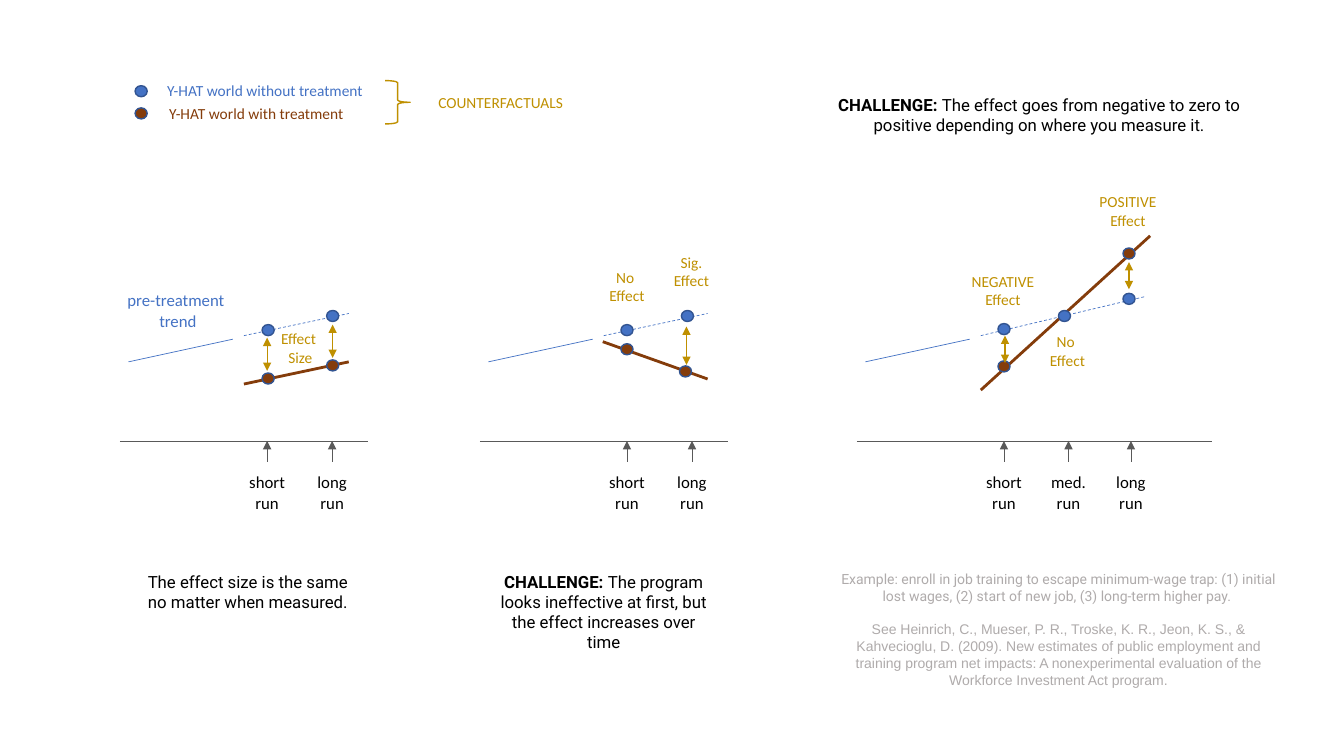
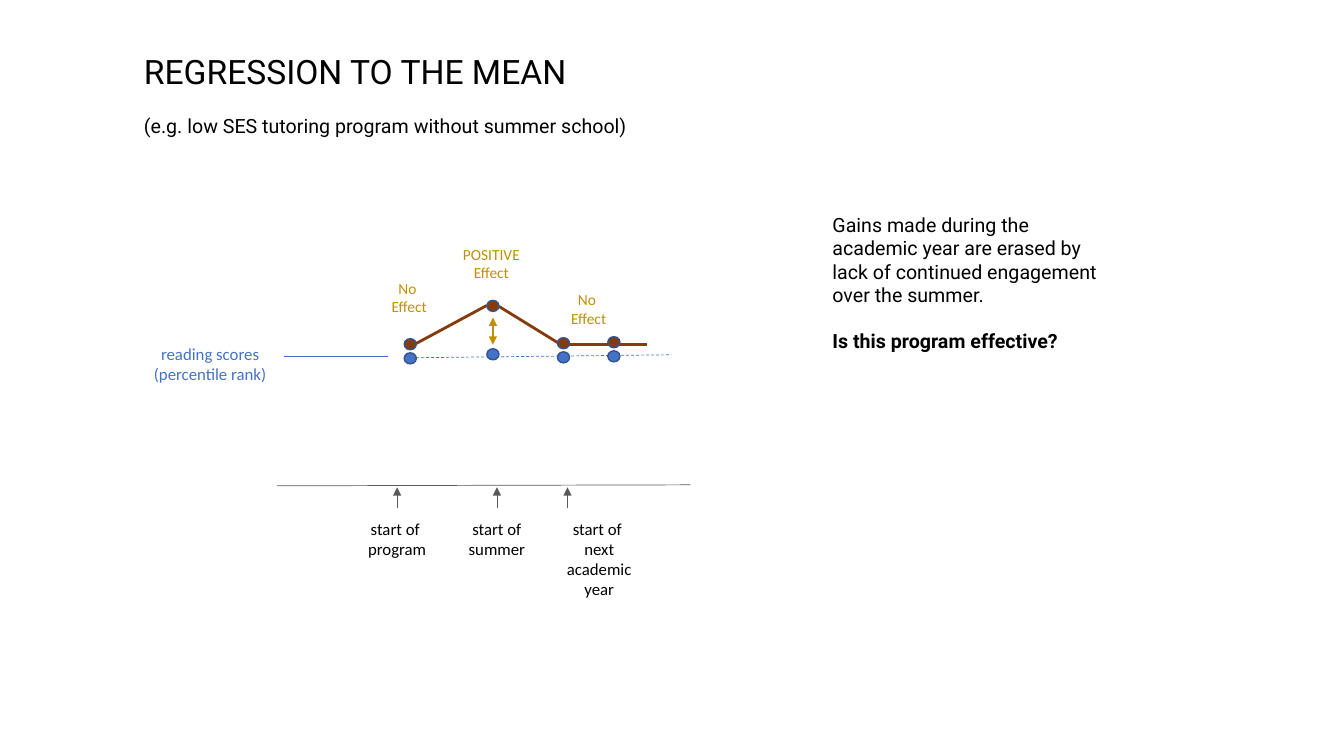
import lxml.etree
import pptx
import pptx.dml.color
import pptx.enum.dml
import pptx.enum.shapes
import pptx.enum.text
import pptx.oxml.ns
import pptx.util

COLUMNS, ROWS = 133.33, 75
CELL = pptx.util.Inches(0.1)
DOT_WIDTH, DOT_HEIGHT = 1.2, 1.1
AXIS_ROW = 43.75
TICK_LENGTH = 2.05
COLORS = {
    "untreated": "4472C4",
    "treated": "843C0B",
    "effect": "BF9000",
    "axis": "595959",
    "outline": "325491",
    "ink": "000000",
    "note": "AFABAB",
}
SHAPES = pptx.enum.shapes.MSO_SHAPE
ALIGN = pptx.enum.text.PP_ALIGN


def cells(*lengths):
    return [round(length * CELL) for length in lengths]


def rgb(role):
    return pptx.dml.color.RGBColor.from_string(COLORS[role])


def add_text(slide, box, *paragraphs, size=12, color="ink", font="Roboto",
             align=ALIGN.CENTER, gap=0):
    frame = slide.shapes.add_textbox(*cells(*box)).text_frame
    frame.word_wrap = True
    for index, runs in enumerate(paragraphs):
        paragraph = frame.paragraphs[0] if index == 0 else frame.add_paragraph()
        paragraph.alignment = align
        if index:
            paragraph.space_before = pptx.util.Pt(gap)
        for run in [runs] if isinstance(runs, str) else runs:
            wording, changes = (run, {}) if isinstance(run, str) else run
            for row, part in enumerate(wording.split("\n")):
                if row:
                    paragraph.add_line_break()
                piece = paragraph.add_run()
                piece.text = part
                piece.font.name = changes.get("font", font)
                piece.font.size = pptx.util.Pt(changes.get("size", size))
                piece.font.bold = changes.get("bold", False)
                piece.font.color.rgb = rgb(color)


def add_label(slide, center, top, wording, **style):
    add_text(slide, (center - 7, top, 14, 5), wording, font="Calibri", **style)


def add_effect(slide, center, top, wording):
    add_label(slide, center, top, wording, size=11, color="effect")


def add_line(slide, start, end, color, width=0.5, dashed=False, ends=()):
    connector = slide.shapes.add_connector(
        pptx.enum.shapes.MSO_CONNECTOR.STRAIGHT, *cells(*start, *end))
    connector.line.color.rgb = rgb(color)
    connector.line.width = pptx.util.Pt(width)
    if dashed:
        connector.line.dash_style = pptx.enum.dml.MSO_LINE.DASH
    properties = connector._element.spPr
    stroke = properties.find(pptx.oxml.ns.qn("a:ln"))
    for end_name in ends:
        lxml.etree.SubElement(stroke, pptx.oxml.ns.qn(f"a:{end_name}"), type="triangle")
    lxml.etree.SubElement(properties, pptx.oxml.ns.qn("a:effectLst"))


def add_gap_arrow(slide, column, top, bottom, width=0.5):
    add_line(slide, (column, top), (column, bottom), "effect", width,
             ends=("headEnd", "tailEnd"))


def add_tick(slide, column, row, wording, label_center=None):
    add_line(slide, (column, row + TICK_LENGTH), (column, row), "axis", ends=("tailEnd",))
    add_label(slide, label_center or column, row + 2.6, wording)


def add_dots(slide, color, *centers):
    for column, row in centers:
        dot = slide.shapes.add_shape(SHAPES.OVAL, *cells(
            column - DOT_WIDTH / 2, row - DOT_HEIGHT / 2, DOT_WIDTH, DOT_HEIGHT))
        dot.shadow.inherit = False
        dot.fill.solid()
        dot.fill.fore_color.rgb = rgb(color)
        dot.line.color.rgb = rgb("outline")
        dot.line.width = pptx.util.Pt(1)


def add_scenario(slide, left, width, forecast_end, treated_line, untreated, treated,
                 arrows, arrow_width, ticks, effects):
    def shift(points):
        return [(left + column, row) for column, row in points]

    add_line(slide, *shift([(0, AXIS_ROW), (width, AXIS_ROW)]), "axis")
    add_line(slide, *shift([(0.85, 35.9), (11.2, 33.65)]), "untreated")
    add_line(slide, *shift([(12.3, 33.3), forecast_end]), "untreated", dashed=True)
    add_line(slide, *shift(treated_line), "treated", 2)
    add_dots(slide, "untreated", *shift(untreated))
    add_dots(slide, "treated", *shift(treated))
    for column, top, bottom in arrows:
        add_gap_arrow(slide, left + column, top, bottom, arrow_width)
    for column, wording in ticks:
        add_tick(slide, left + column, AXIS_ROW, wording)
    for center, top, wording in effects:
        add_effect(slide, left + center, top, wording)


def add_legend(slide):
    entries = (("untreated", 9.05, "Y-HAT world without treatment", 15.6),
               ("treated", 11.25, "Y-HAT world with treatment", 15.8))
    for color, row, wording, left in entries:
        add_dots(slide, color, (14, row))
        add_text(slide, (left, row - 1.45, 22, 2.9), wording, size=11, color=color,
                 font="Calibri", align=ALIGN.LEFT)
    brace = slide.shapes.add_shape(SHAPES.RIGHT_BRACE, *cells(38.2, 8, 2.5, 4.3))
    brace.shadow.inherit = False
    brace.fill.background()
    brace.line.color.rgb = rgb("effect")
    brace.line.width = pptx.util.Pt(1)
    add_text(slide, (42.5, 8.7, 15, 2.9), "COUNTERFACTUALS", size=11, color="effect",
             font="Calibri", align=ALIGN.LEFT)


def build_timing_slide(slide):
    short_long = [(14.6, "short\nrun"), (21.05, "long\nrun")]
    add_scenario(
        slide, 11.9, 24.6, (22.7, 31.1), [(12.3, 38.1), (22.7, 35.9)],
        untreated=[(14.7, 32.75), (21.1, 31.35)],
        treated=[(14.7, 37.55), (21.1, 36.25)],
        arrows=[(14.6, 33.5, 36.8), (21.1, 32.2, 35.5)], arrow_width=0.5,
        ticks=short_long, effects=[(17.9, 32.2, "Effect \nSize")])
    add_scenario(
        slide, 47.6, 24.6, (22.6, 31.1), [(12.2, 33.9), (22.6, 37.6)],
        untreated=[(14.6, 32.75), (20.6, 31.35)],
        treated=[(14.6, 34.65), (20.4, 36.85)],
        arrows=[(20.5, 32.4, 36.2)], arrow_width=0.5, ticks=short_long,
        effects=[(14.6, 26.1, "No \nEffect"), (21, 24.6, "Sig.\nEffect")])
    add_scenario(
        slide, 85, 35.2, (28.7, 29.4), [(12.3, 38.7), (29.1, 23.4)],
        untreated=[(14.6, 32.65), (20.6, 31.35), (27, 29.65)],
        treated=[(14.6, 36.35), (27, 25.15)],
        arrows=[(14.7, 33.3, 36), (27, 26, 28.7)], arrow_width=1.25,
        ticks=[(14.6, "short\nrun"), (21, "med.\nrun"), (27.2, "long\nrun")],
        effects=[(14.5, 26.5, "NEGATIVE\nEffect"), (20.9, 32.5, "No \nEffect"),
                 (26.9, 18.6, "POSITIVE\nEffect")])
    add_label(slide, 17.65, 28.3, "pre-treatment \ntrend", color="untreated")
    add_legend(slide)

    challenge = ("CHALLENGE: ", {"bold": True})
    add_text(slide, (12.8, 56.2, 23.6, 5),
             "The effect size is the same no matter when measured.")
    add_text(slide, (48.1, 56.2, 23.6, 9.1),
             [challenge, "The program looks ineffective at first, but the effect "
              "increases over time"])
    add_text(slide, (81, 8.9, 44.2, 7.1),
             [challenge, "The effect goes from negative to zero to positive depending "
              "on where you measure it."])
    add_text(slide, (82.2, 56.1, 45.6, 12.8),
             "Example: enroll in job training to escape minimum-wage trap: (1) initial "
             "lost wages, (2) start of new job, (3) long-term higher pay. ",
             [("See Heinrich, C., Mueser, P. R., Troske, K. R., Jeon, K. S., & "
               "Kahvecioglu, D. (2009). New estimates of public employment and training "
               "program net impacts: A nonexperimental evaluation of the Workforce "
               "Investment Act program.", {"font": "Arial"})],
             size=10, color="note", gap=12)


def build_regression_slide(slide):
    add_text(slide, (13.3, 4.6, 60, 9.8), [("REGRESSION TO THE MEAN", {"size": 24})],
             "(e.g. low SES tutoring program without summer school)",
             size=14, align=ALIGN.LEFT, gap=16)
    add_line(slide, (27.5, 48.2), (68.5, 48.1), "axis")
    add_line(slide, (28.2, 35.4), (38.5, 35.4), "untreated")
    add_line(slide, (40.3, 35.5), (66.6, 35.2), "untreated", dashed=True)
    for start, end in (((40.5, 34.5), (48.3, 30.3)), ((49.5, 30.4), (55.5, 34.1)),
                       ((56.4, 34.2), (64.2, 34.2))):
        add_line(slide, start, end, "treated", 2)
    add_dots(slide, "untreated", (40.7, 35.55), (48.9, 35.15), (55.9, 35.45), (60.9, 35.35))
    add_dots(slide, "treated", (40.7, 34.15), (48.9, 30.35), (55.9, 34.05), (60.9, 33.95))
    add_gap_arrow(slide, 48.9, 31.5, 34.2, 1.25)
    for center, top, wording in ((40.6, 27.2, "No \nEffect"), (48.75, 23.8, "POSITIVE\nEffect"),
                                 (58.4, 28.3, "No \nEffect")):
        add_effect(slide, center, top, wording)
    for column, center, wording in ((39.4, 39.4, "start of \nprogram"),
                                    (49.3, 49.3, "start of\nsummer"),
                                    (56.3, 59.45, "start of \nnext\nacademic\nyear")):
        add_tick(slide, column, 48.35, wording, center)
    add_label(slide, 20.85, 33.6, "reading scores\n(percentile rank)", color="untreated")
    add_text(slide, (81.6, 20.6, 29, 15.1),
             "Gains made during the academic year are erased by lack of continued "
             "engagement over the summer.",
             [("Is this program effective?", {"bold": True})],
             size=14, align=ALIGN.LEFT, gap=16)


def main():
    deck = pptx.Presentation()
    deck.slide_width, deck.slide_height = cells(COLUMNS, ROWS)
    for build in (build_timing_slide, build_regression_slide):
        build(deck.slides.add_slide(deck.slide_layouts[6]))
    deck.save("out.pptx")


if __name__ == "__main__":
    main()
